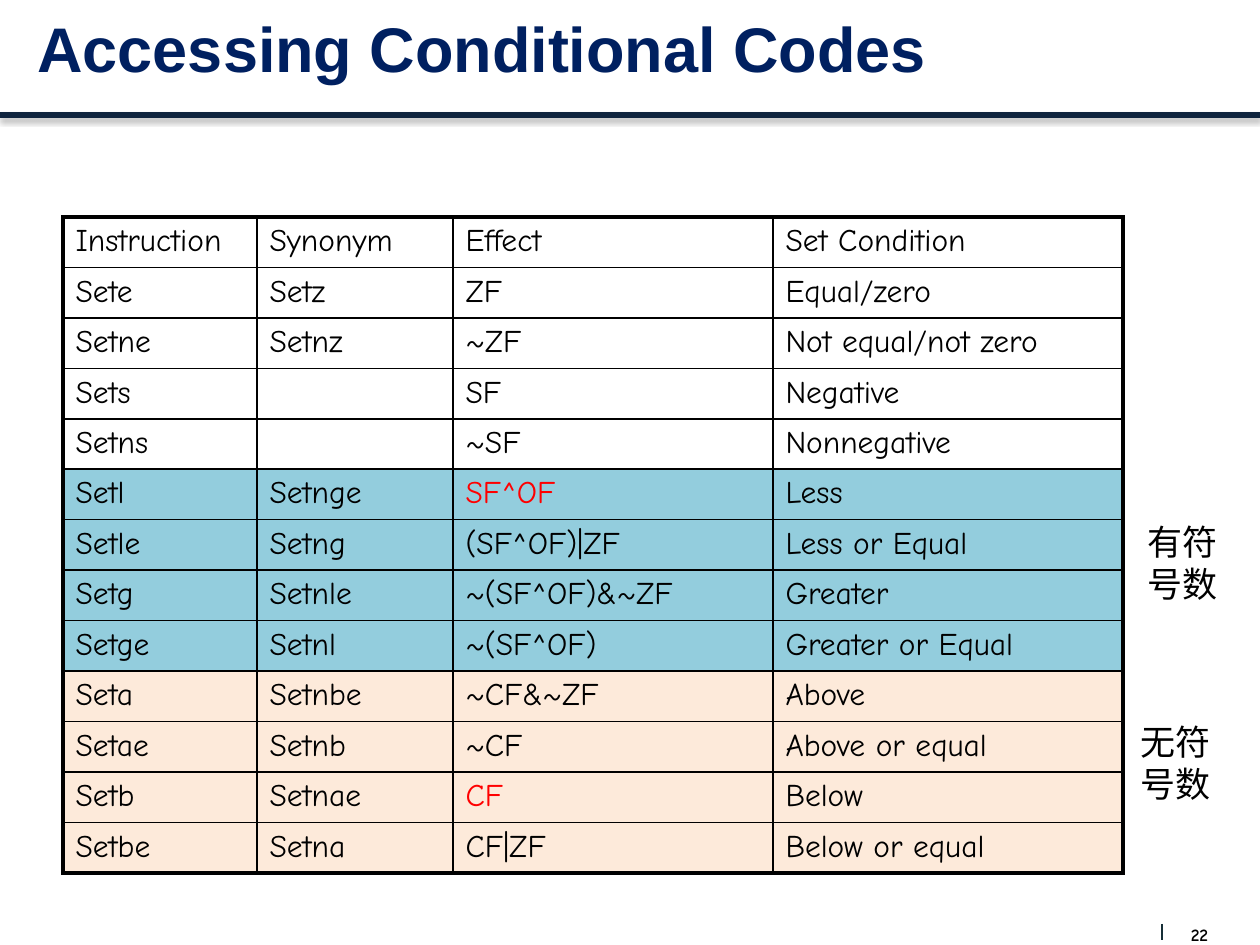
from pptx import Presentation
from pptx.dml.color import RGBColor
from pptx.enum.shapes import MSO_CONNECTOR
from pptx.enum.text import MSO_ANCHOR as Anchor, PP_ALIGN as Align
from pptx.oxml import parse_xml
from pptx.oxml.ns import nsdecls
from pptx.util import Emu, Pt

# Content
TITLE = "Accessing Conditional Codes"
PAGE_NUMBER = "22"
HEADER = ("Instruction", "Synonym", "Effect", "Set Condition")
# (fill, rows) for each group of instructions
GROUPS = [
    (None, [
        HEADER,
        ("Sete", "Setz", "ZF", "Equal/zero"),
        ("Setne", "Setnz", "~ZF", "Not equal/not zero"),
        ("Sets", "", "SF", "Negative"),
        ("Setns", "", "~SF", "Nonnegative"),
    ]),
    ("93CDDD", [
        ("Setl", "Setnge", "SF^OF", "Less"),
        ("Setle", "Setng", "(SF^OF)|ZF", "Less or Equal"),
        ("Setg", "Setnle", "~(SF^OF)&~ZF", "Greater"),
        ("Setge", "Setnl", "~(SF^OF)", "Greater or Equal"),
    ]),
    ("FDEADA", [
        ("Seta", "Setnbe", "~CF&~ZF", "Above"),
        ("Setae", "Setnb", "~CF", "Above or equal"),
        ("Setb", "Setnae", "CF", "Below"),
        ("Setbe", "Setna", "CF|ZF", "Below or equal"),
    ]),
]
KEY_EFFECTS = ("SF^OF", "CF")
# (lines, left, top) for each side note
NOTES = [(("有符", "号数"), 1135, 514), (("无符", "号数"), 1128, 714)]

# Geometry in px, 126 to the inch
TABLE_LEFT, TABLE_TOP, TABLE_HEIGHT = 63, 217, 655
COLUMN_WIDTHS = (194, 196, 320, 350)
BODY_FONT = "Comic Neue"
SHADOW = (f'<a:effectLst {nsdecls("a")}><a:outerShdw blurRad="{Pt(3.1)}" dist="{Pt(1.8)}" '
          'dir="5400000" rotWithShape="0"><a:srgbClr val="000000"><a:alpha val="35000"/>'
          '</a:srgbClr></a:outerShdw></a:effectLst>')
NO_SHADOW = f'<a:effectLst {nsdecls("a")}/>'


def px(length):
    return Emu(round(length * 914400 / 126))


def rgb(color):
    return RGBColor.from_string(color)


def write(frame, *lines, size=18, font=BODY_FONT, color="000000", bold=False, align=Align.LEFT):
    for i, line in enumerate(lines):
        paragraph = frame.add_paragraph() if i else frame.paragraphs[0]
        paragraph.alignment = align
        paragraph.font.size = Pt(size)
        if not line:
            continue
        run = paragraph.add_run()
        run.text = line
        run.font.size, run.font.name, run.font.bold = Pt(size), font, bold
        run.font.color.rgb = rgb(color)


def text_frame(left, top, width, height, wrap=True):
    frame = slide.shapes.add_textbox(px(left), px(top), px(width), px(height)).text_frame
    frame.word_wrap = wrap
    return frame


def add_line(x1, y1, x2, y2, color, width, effect=NO_SHADOW):
    line = slide.shapes.add_connector(MSO_CONNECTOR.STRAIGHT, px(x1), px(y1), px(x2), px(y2))
    line.line.color.rgb = rgb(color)
    line.line.width = Pt(width)
    line._element.spPr.append(parse_xml(effect))


def set_borders(cell, widths):
    properties = cell._tc.get_or_add_tcPr()
    for side, width in widths.items():
        properties.append(parse_xml(
            f'<a:ln{side} {nsdecls("a")} w="{Pt(width)}"><a:solidFill>'
            f'<a:srgbClr val="000000"/></a:solidFill></a:ln{side}>'))


prs = Presentation()
prs.slide_width, prs.slide_height = px(1260), px(945)
slide = prs.slides.add_slide(prs.slide_layouts[6])

# Header rule and page number
add_line(0, 115, 1260, 115, "0F243E", 3, SHADOW)
number = text_frame(1178, 924, 43, 21)
number.margin_left = number.margin_right = number.margin_top = number.margin_bottom = 0
write(number, PAGE_NUMBER, size=10, bold=True, align=Align.CENTER)
add_line(1162, 924, 1162, 940, "172F37", 0.75)

# Title
title = text_frame(25, 0, 1166, 95)
title.vertical_anchor = Anchor.MIDDLE
write(title, TITLE, size=36, font="Arial", color="002060", bold=True)

# Instruction table
rows = [(fill, row) for fill, group in GROUPS for row in group]
last_row, last_column = len(rows) - 1, len(HEADER) - 1
table = slide.shapes.add_table(len(rows), len(HEADER), px(TABLE_LEFT), px(TABLE_TOP),
                               px(sum(COLUMN_WIDTHS)), px(TABLE_HEIGHT)).table
table.first_row = table.horz_banding = False
for column, width in zip(table.columns, COLUMN_WIDTHS):
    column.width = px(width)
for r, (fill, row) in enumerate(rows):
    table.rows[r].height = px(TABLE_HEIGHT / len(rows))
    for c, entry in enumerate(row):
        cell = table.cell(r, c)
        outer = {"L": c == 0, "R": c == last_column, "T": r == 0, "B": r == last_row}
        set_borders(cell, {side: 2.25 if edge else 1 for side, edge in outer.items()})
        if fill:
            cell.fill.solid()
            cell.fill.fore_color.rgb = rgb(fill)
        else:
            cell.fill.background()
        write(cell.text_frame, entry, color="FF0000" if entry in KEY_EFFECTS else "000000")

# Side notes
for lines, left, top in NOTES:
    write(text_frame(left, top, 96, 97, wrap=False), *lines, size=20)

prs.save("out.pptx")
